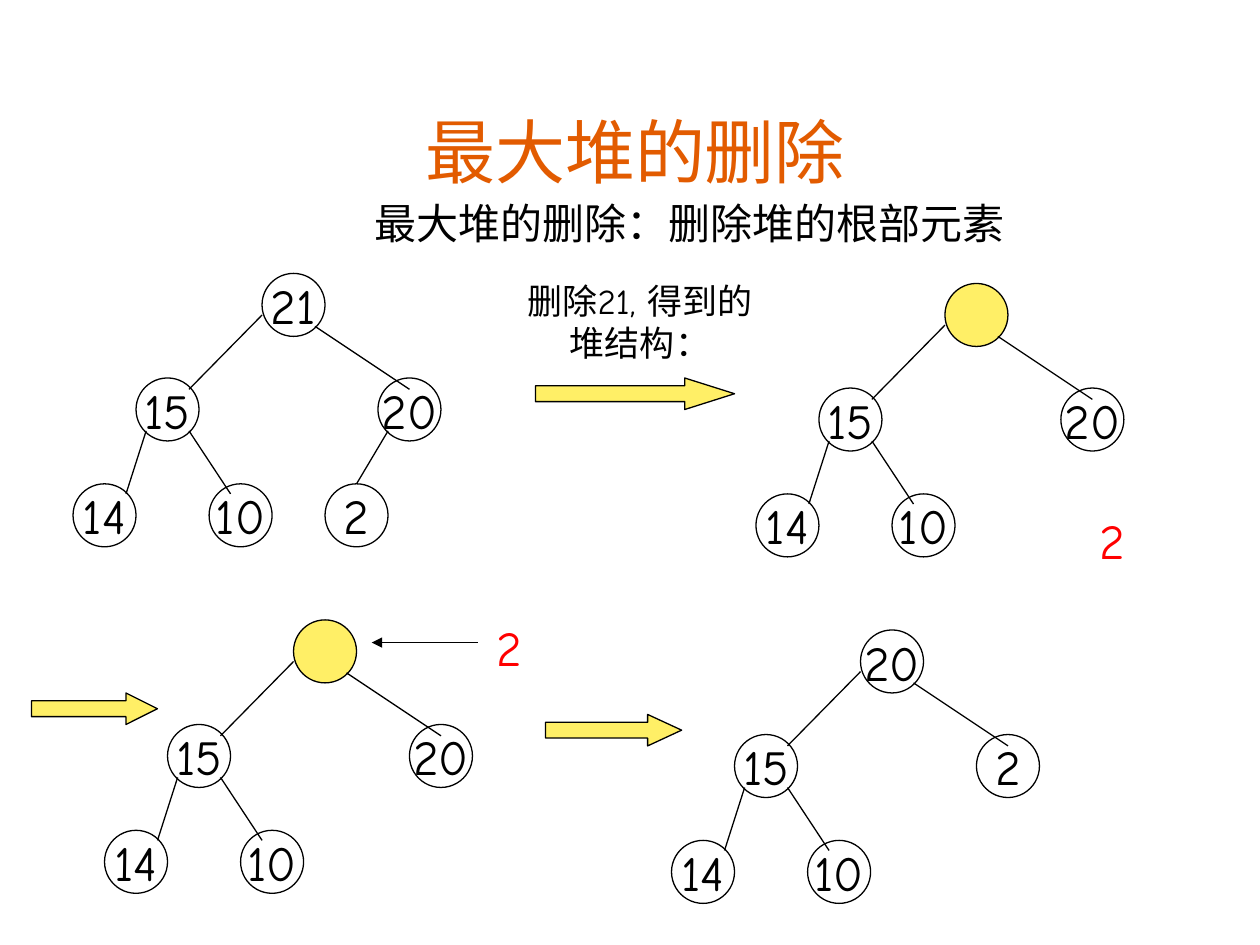
from dataclasses import dataclass

from lxml import etree
from pptx import Presentation
from pptx.dml.color import RGBColor
from pptx.enum.shapes import MSO_CONNECTOR, MSO_SHAPE
from pptx.enum.text import MSO_ANCHOR, PP_ALIGN
from pptx.oxml.ns import qn
from pptx.util import Inches, Pt

CIRCLE = MSO_SHAPE.FLOWCHART_CONNECTOR
RIGHT_ARROW = MSO_SHAPE.RIGHT_ARROW
STRAIGHT = MSO_CONNECTOR.STRAIGHT
CENTER = PP_ALIGN.CENTER
TOP, MIDDLE, BOTTOM = MSO_ANCHOR.TOP, MSO_ANCHOR.MIDDLE, MSO_ANCHOR.BOTTOM

COLORS = {"title": "E25B00", "ink": "000000", "moved": "FF0000", "yellow": "FFEF66"}
LATIN_FONT = "Comic Neue"
CHINESE_FONT = "Noto Sans CJK SC"
LINE_WIDTH = Pt(0.75)
NODE_SIZE = 0.5
ARROW_HEIGHT = 0.25

# Places relative to the top left corner of the root node's box
NODE_OFFSETS = {
    "root": (0, 0),
    "left": (-1, 0.83),
    "right": (0.92, 0.83),
    "left_left": (-1.5, 1.67),
    "left_right": (-0.42, 1.67),
    "right_left": (0.5, 1.67),
}
# Each edge is named after its lower node
EDGE_OFFSETS = {
    "left": ((0, 0.33), (-0.58, 0.92)),
    "right": ((0.42, 0.42), (1.17, 0.92)),
    "left_left": ((-0.92, 1.25), (-1.08, 1.75)),
    "left_right": ((-0.58, 1.25), (-0.25, 1.75)),
    "right_left": ((1, 1.25), (0.75, 1.67)),
}


@dataclass
class Heap:
    left: float
    top: float
    values: dict[str, str]


@dataclass
class Label:
    text: str
    left: float
    top: float
    width: float
    height: float
    size: int
    color: str = "ink"
    font: str = LATIN_FONT
    anchor: MSO_ANCHOR = TOP


@dataclass
class BlockArrow:
    left: float
    top: float
    width: float
    head: float


def heap_values(root: str, right: str, **extra: str) -> dict[str, str]:
    return {"root": root, "left": "15", "right": right,
            "left_left": "14", "left_right": "10", **extra}


HEAPS = [
    Heap(2.08, 2.17, heap_values("21", "20", right_left="2")),
    Heap(7.5, 2.25, heap_values("", "20")),
    Heap(2.33, 4.92, heap_values("", "20")),
    Heap(6.83, 5, heap_values("20", "2")),
]
LABELS = [
    Label("最大堆的删除", 0.75, 0.75, 8.58, 0.83, 40, "title", CHINESE_FONT, BOTTOM),
    Label("最大堆的删除：删除堆的根部元素", 1.93, 1.52, 7.08, 0.5, 24),
    Label("删除21, 得到的堆结构：", 4.08, 2.17, 2, 0.77, 20),
    Label("2", 8.33, 4, 1, 0.57, 28, "moved"),
    Label("2", 3.79, 4.85, 0.5, 0.57, 28, "moved"),
]
BLOCK_ARROWS = [
    BlockArrow(4.25, 3, 1.58, 1.58),
    BlockArrow(0.25, 5.5, 1, 1),
    BlockArrow(4.33, 5.67, 1.08, 1.08),
]


def color(name: str) -> RGBColor:
    return RGBColor.from_string(COLORS[name])


def write_text(shape, text: str, size: int, ink: str, font: str = LATIN_FONT) -> None:
    shape.text_frame.text = text
    para = shape.text_frame.paragraphs[0]
    para.alignment = CENTER
    for span in para.runs:
        span.font.size = Pt(size)
        span.font.name = font
        span.font.color.rgb = color(ink)
        east_asian = etree.SubElement(span.font._element, qn("a:ea"))
        east_asian.set("typeface", CHINESE_FONT)


def add_label(page, label: Label) -> None:
    box = page.shapes.add_textbox(Inches(label.left), Inches(label.top),
                                  Inches(label.width), Inches(label.height))
    box.text_frame.word_wrap = True
    box.text_frame.vertical_anchor = label.anchor
    write_text(box, label.text, label.size, label.color, label.font)


def add_outlined(page, kind, left: float, top: float, width: float, height: float,
                 filled: bool):
    shape = page.shapes.add_shape(kind, Inches(left), Inches(top),
                                  Inches(width), Inches(height))
    shape.shadow.inherit = False
    if filled:
        shape.fill.solid()
        shape.fill.fore_color.rgb = color("yellow")
    else:
        shape.fill.background()
    shape.line.color.rgb = color("ink")
    shape.line.width = LINE_WIDTH
    return shape


def add_line(page, start: tuple[float, float], end: tuple[float, float],
             arrow: bool = False) -> None:
    line = page.shapes.add_connector(STRAIGHT, Inches(start[0]), Inches(start[1]),
                                     Inches(end[0]), Inches(end[1]))
    line.line.color.rgb = color("ink")
    line.line.width = LINE_WIDTH
    if arrow:
        etree.SubElement(line.line._get_or_add_ln(), qn("a:tailEnd")).set("type", "triangle")
    etree.SubElement(line._element.spPr, qn("a:effectLst"))


def add_heap(page, heap: Heap) -> None:
    """Draw the tree; a node without a value is the emptied, yellow root."""
    for name, value in heap.values.items():
        x, y = NODE_OFFSETS[name]
        node = add_outlined(page, CIRCLE, heap.left + x, heap.top + y,
                            NODE_SIZE, NODE_SIZE, filled=not value)
        if value:
            node.text_frame.word_wrap = False
            node.text_frame.vertical_anchor = MIDDLE
            write_text(node, value, 28, "ink")
        if name in EDGE_OFFSETS:
            start, end = [(heap.left + dx, heap.top + dy) for dx, dy in EDGE_OFFSETS[name]]
            add_line(page, start, end)


def add_block_arrow(page, arrow: BlockArrow) -> None:
    shape = add_outlined(page, RIGHT_ARROW, arrow.left, arrow.top,
                         arrow.width, ARROW_HEIGHT, filled=True)
    shape.adjustments[0] = 0.5
    shape.adjustments[1] = arrow.head


def main() -> None:
    deck = Presentation()
    deck.slide_width, deck.slide_height = Inches(10), Inches(7.5)
    page = deck.slides.add_slide(deck.slide_layouts[6])
    for label in LABELS:
        add_label(page, label)
    for heap in HEAPS:
        add_heap(page, heap)
    for arrow in BLOCK_ARROWS:
        add_block_arrow(page, arrow)
    add_line(page, (3.79, 5.1), (2.95, 5.1), arrow=True)
    deck.save("out.pptx")


if __name__ == "__main__":
    main()
